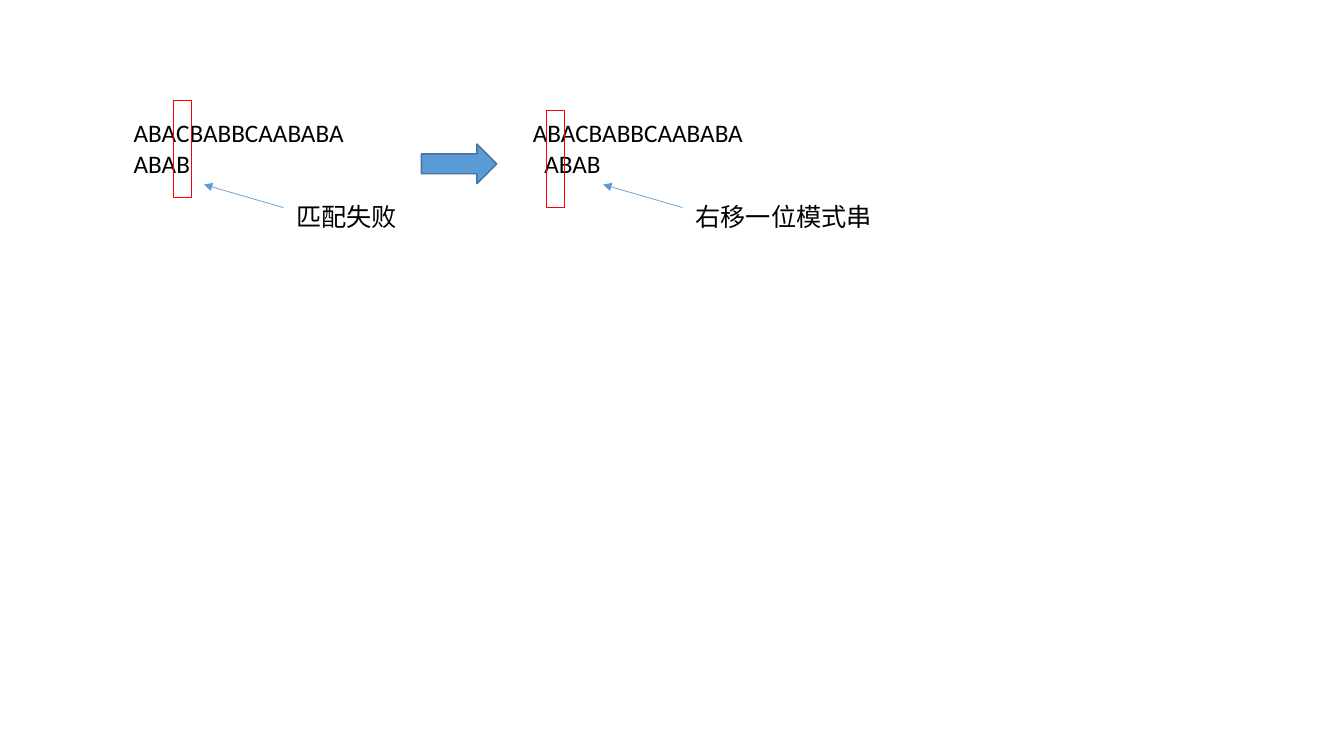
from pptx import Presentation
from pptx.dml.color import RGBColor
from pptx.enum import shapes, text
from pptx.oxml import ns, xmlchemy
from pptx.util import Cm, Pt

BLACK = RGBColor(0x00, 0x00, 0x00)
RED = RGBColor(0xFF, 0x00, 0x00)
BLUE = RGBColor(0x5B, 0x9B, 0xD5)
DARK_BLUE = RGBColor(0x43, 0x73, 0x9E)

FONT = "Calibri"
TEXT = "ABACBABBCAABABA"
PATTERN = "ABAB"


def add_text(slide, left, top, width, height, lines):
    box = slide.shapes.add_textbox(Cm(left), Cm(top), Cm(width), Cm(height))
    frame = box.text_frame
    frame.word_wrap = True
    frame.auto_size = text.MSO_AUTO_SIZE.SHAPE_TO_FIT_TEXT
    frame.text = "\n".join(lines)
    for paragraph in frame.paragraphs:
        for run in paragraph.runs:
            run.font.name = FONT
            run.font.size = Pt(18)
            run.font.color.rgb = BLACK
    return frame


def add_shape(slide, kind, left, top, width, height, line_color, fill_color=None):
    shape = slide.shapes.add_shape(kind, Cm(left), Cm(top), Cm(width), Cm(height))
    shape.shadow.inherit = False
    if fill_color is None:
        shape.fill.background()
    else:
        shape.fill.solid()
        shape.fill.fore_color.rgb = fill_color
    shape.line.color.rgb = line_color
    shape.line.width = Pt(1)


def add_pointer(slide, start_x, start_y, end_x, end_y):
    """Draw a thin line with an arrowhead at its end."""
    pointer = slide.shapes.add_connector(
        shapes.MSO_CONNECTOR.STRAIGHT, Cm(start_x), Cm(start_y), Cm(end_x), Cm(end_y))
    pointer.line.color.rgb = BLUE
    pointer.line.width = Pt(0.5)
    head = xmlchemy.OxmlElement("a:tailEnd")
    head.set("type", "triangle")
    pointer.line._get_or_add_ln().append(head)
    properties = pointer._element.find(ns.qn("p:spPr"))
    properties.append(xmlchemy.OxmlElement("a:effectLst"))


def add_match_step(slide, left, shift, frame_offset, frame_top, caption, caption_width):
    """Show the text above the shifted pattern, with the compared column framed."""
    strings = add_text(slide, left, 2.84, 7.42, 1.8, [TEXT, PATTERN])
    pattern_properties = strings.paragraphs[1]._p.get_or_add_pPr()
    pattern_properties.set("marL", str(Cm(shift)))
    pattern_properties.set("indent", "0")
    add_shape(slide, shapes.MSO_SHAPE.RECTANGLE,
              left + frame_offset, frame_top, 0.46, 2.44, RED)
    add_pointer(slide, left + 4.02, 5.23, left + 2.02, 4.65)
    add_text(slide, left + 4.1, 4.95, caption_width, 1.02, [caption])


def main():
    presentation = Presentation()
    presentation.slide_width = Cm(33.87)
    presentation.slide_height = Cm(19.05)
    slide = presentation.slides.add_slide(presentation.slide_layouts[6])

    add_match_step(slide, 3.12, 0, 1.25, 2.54, "匹配失败", 3.56)
    add_shape(slide, shapes.MSO_SHAPE.RIGHT_ARROW, 10.62, 3.63, 1.9, 1, DARK_BLUE, BLUE)
    add_match_step(slide, 13.18, 0.29, 0.59, 2.79, "右移一位模式串", 5.74)

    presentation.save("out.pptx")


if __name__ == "__main__":
    main()
